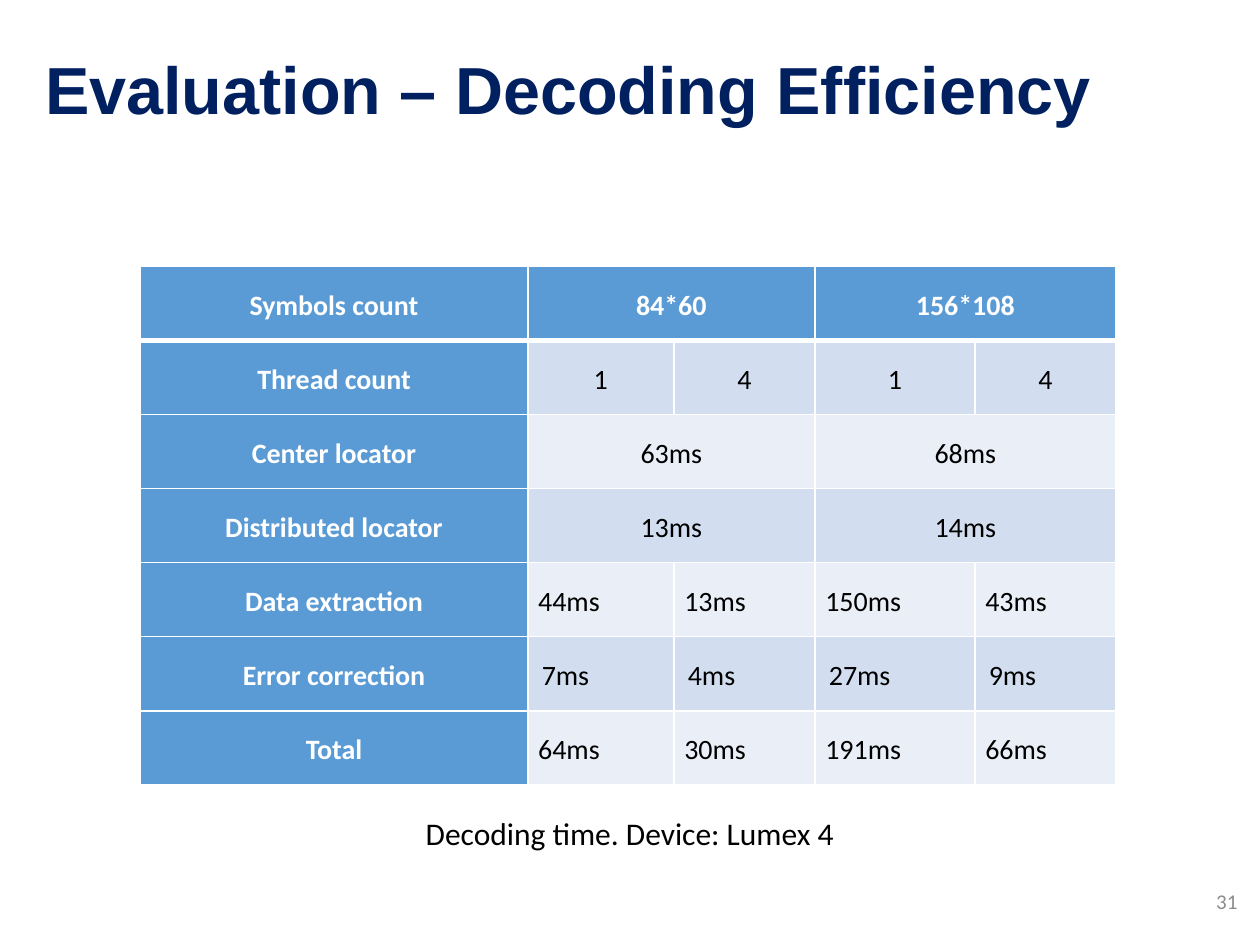
from lxml.etree import SubElement
from pptx import Presentation
from pptx.dml.color import RGBColor
from pptx.enum.text import MSO_ANCHOR, PP_ALIGN
from pptx.oxml.ns import qn
from pptx.util import Pt

COLORS = {
    "title": "002060",
    "header": "5B9BD5",
    "band_dark": "D2DEEF",
    "band_light": "EAEFF7",
    "white": "FFFFFF",
    "black": "000000",
    "gray": "8C8C8C",
}
COLUMN_WIDTHS = [221.4, 83.5, 80.6, 91.4, 80.6]
ROWS = [
    ["Symbols count", "84*60", None, "156*108", None],
    ["Thread count", "1", "4", "1", "4"],
    ["Center locator", "63ms", None, "68ms", None],
    ["Distributed locator", "13ms", None, "14ms", None],
    ["Data extraction", "44ms", "13ms", "150ms", "43ms"],
    ["Error correction", "7ms", "4ms", "27ms", "9ms"],
    ["Total", "64ms", "30ms", "191ms", "66ms"],
]
FIRST_LEFT_ALIGNED_ROW = 4
INDENTED_ROW = 5


def write_text(text_frame, text, size, color, font="Calibri", bold=False,
               align=PP_ALIGN.LEFT, line_spacing=1.0):
    paragraph = text_frame.paragraphs[0]
    paragraph.alignment = align
    paragraph.line_spacing = line_spacing
    run = paragraph.add_run()
    run.text = text
    run.font.name = font
    run.font.size = Pt(size)
    run.font.bold = bold
    run.font.color.rgb = RGBColor.from_string(COLORS[color])


def add_text(slide, box, text, anchor=MSO_ANCHOR.MIDDLE, wrap=True, **text_format):
    shape = slide.shapes.add_textbox(*map(Pt, box))
    shape.text_frame.word_wrap = wrap
    shape.text_frame.vertical_anchor = anchor
    write_text(shape.text_frame, text, **text_format)


def set_borders(cell, top, bottom):
    properties = cell._tc.get_or_add_tcPr()
    widths = {"a:lnL": 1, "a:lnR": 1, "a:lnT": top, "a:lnB": bottom}
    for position, (tag, width) in enumerate(widths.items()):
        line = SubElement(properties, qn(tag), w=str(Pt(width)))
        fill = SubElement(line, qn("a:solidFill"))
        SubElement(fill, qn("a:srgbClr"), val=COLORS["white"])
        properties.insert(position, line)


def format_cell(cell, row, column):
    is_header = row == 0 or column == 0
    is_left = row >= FIRST_LEFT_ALIGNED_ROW and column > 0
    band = "band_dark" if row % 2 else "band_light"
    cell.fill.solid()
    cell.fill.fore_color.rgb = RGBColor.from_string(
        COLORS["header" if is_header else band])
    cell.vertical_anchor = MSO_ANCHOR.MIDDLE
    cell.margin_left = Pt(8 if is_left and row == INDENTED_ROW else 6)
    cell.margin_right = Pt(6)
    cell.margin_top = Pt(0.7)
    cell.margin_bottom = Pt(0)
    set_borders(cell, top=3 if row == 1 else 1, bottom=3 if row == 0 else 1)
    text = ROWS[row][column]
    if text is not None:
        write_text(cell.text_frame, text, size=16,
                   color="white" if is_header else "black", bold=is_header,
                   align=PP_ALIGN.LEFT if is_left else PP_ALIGN.CENTER,
                   line_spacing=1.07)


def add_timing_table(slide, box):
    table = slide.shapes.add_table(
        len(ROWS), len(COLUMN_WIDTHS), *map(Pt, box)).table
    for column, width in zip(table.columns, COLUMN_WIDTHS):
        column.width = Pt(width)
    for row in table.rows:
        row.height = Pt(box[3] / len(ROWS))
    for row, texts in enumerate(ROWS):
        for column, text in enumerate(texts):
            format_cell(table.cell(row, column), row, column)
            if text is None:
                table.cell(row, column - 1).merge(table.cell(row, column))


def main():
    presentation = Presentation()
    presentation.slide_width = Pt(720)
    presentation.slide_height = Pt(540)
    slide = presentation.slides.add_slide(presentation.slide_layouts[6])
    add_text(slide, (18.7, 8.6, 679, 88.6), "Evaluation – Decoding Efficiency",
             size=38, color="title", font="Arial", bold=True, line_spacing=0.9)
    add_timing_table(slide, (80.2, 152.4, 557.5, 296.1))
    add_text(slide, (236.2, 461.5, 247.7, 29), "Decoding time. Device: Lumex 4",
             anchor=MSO_ANCHOR.TOP, wrap=False, size=18, color="black")
    add_text(slide, (552.2, 500.4, 162, 28.8), "31",
             size=12, color="gray", align=PP_ALIGN.RIGHT)
    presentation.save("out.pptx")


if __name__ == "__main__":
    main()
